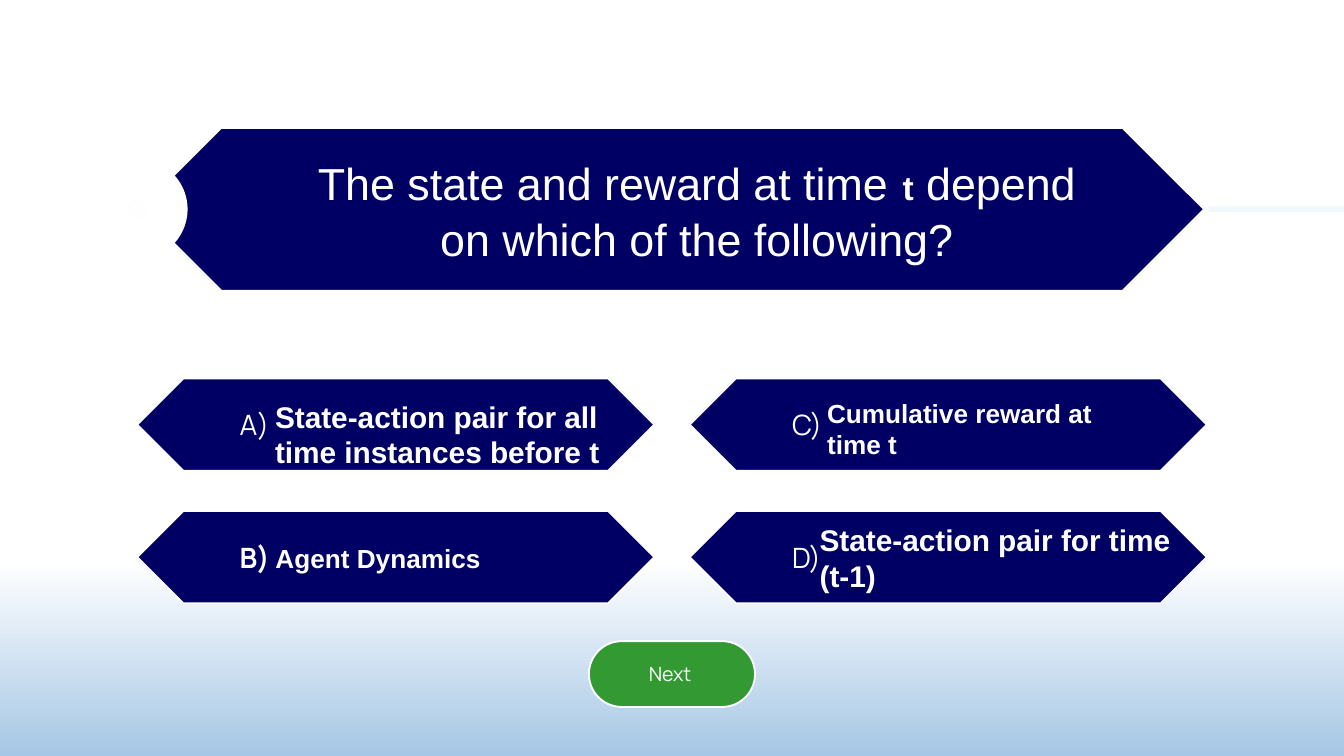
"""Build a quiz slide with one question, four answers and a Next button."""
import pptx
import pptx.dml.color
import pptx.enum.shapes
import pptx.enum.text
import pptx.oxml
import pptx.oxml.ns
import pptx.util

Pt = pptx.util.Pt
Shapes = pptx.enum.shapes.MSO_SHAPE
Align = pptx.enum.text.PP_ALIGN

WHITE, NAVY, GREEN, PALE = "FFFFFF", "000064", "339933", "F3F8FC"
SLIDE_WIDTH, SLIDE_HEIGHT = 720, 405

BACKGROUND_STOPS = [(0, WHITE, 100), (74, WHITE, 100), (100, "A6C7E5", 100)]
DOT_STOPS = [(0, WHITE, 100), (32, WHITE, 100), (63, WHITE, 0), (100, WHITE, 0)]
LINEAR = '<a:lin ang="5400000" scaled="0"/>'
CIRCULAR = '<a:path path="circle"><a:fillToRect l="50000" t="50000" r="50000" b="50000"/></a:path>'

LABEL = {"size": 15, "name": "Manrope"}
BUTTON = {"size": 10.5, "name": "Manrope"}
QUESTION = {"size": 24, "name": "Arial"}
ANSWER = {"size": 16, "name": "Arial", "bold": True}
SMALL_ANSWER = {**ANSWER, "size": 14}

QUESTION_RUNS = [
    ("The state and reward at time", QUESTION),
    (" ", {**ANSWER, "size": 28}),
    ("t", {**ANSWER, "size": 18}),
    (" depend on which of the following?", QUESTION),
]
ANSWER_LABELS = [
    (1, 1, [("D)", LABEL)]),
    (1, 0, [("C)", LABEL)]),
    (0, 1, [("B) ", {**LABEL, "bold": True}), ("Agent Dynamics", SMALL_ANSWER)]),
    (0, 0, [("A)", LABEL)]),
]
TEXTS = [
    ((156.25, 75.6, 434, 70.5), QUESTION_RUNS, Align.CENTER),
    ((140.25, 209.5, 192.5, 46), [("State-action pair for all time instances before t", ANSWER)], Align.LEFT),
    ((432, 285.25, 214.5, 26.5), [("State-action pair for time (t-1)", ANSWER)], Align.LEFT),
    ((436, 217.5, 181.5, 24.5), [("Cumulative reward at time t", SMALL_ANSWER)], Align.LEFT),
]

BANNER = (73.5, 67.5, 573, 89.25)
ANSWER_SIZE = (277, 49.5)
ANSWER_TOP, ROW_STEP = 202.75, 71
BUTTON_SIZE = (89, 35.25)
BUTTON_TOP = 343.5
CIRCLE, DOT = 54, 10
CIRCLE_CENTER = (73.5, 112.1)


def color(value):
    return pptx.dml.color.RGBColor.from_string(value)


def set_gradient(fill, owner, stops, direction):
    fill.gradient()
    gradient = next(owner.iter(pptx.oxml.ns.qn("a:gradFill")))
    for child in list(gradient):
        gradient.remove(child)
    stop_xml = "".join(
        f'<a:gs pos="{position * 1000}"><a:srgbClr val="{value}">'
        f'<a:alpha val="{opacity * 1000}"/></a:srgbClr></a:gs>'
        for position, value, opacity in stops
    )
    namespace = pptx.oxml.ns.nsdecls("a")
    source = f"<a:root {namespace}><a:gsLst>{stop_xml}</a:gsLst>{direction}</a:root>"
    for child in list(pptx.oxml.parse_xml(source)):
        gradient.append(child)


def add_line(slide, left, right, middle, value, width):
    line = slide.shapes.add_connector(
        pptx.enum.shapes.MSO_CONNECTOR.STRAIGHT, Pt(left), Pt(middle), Pt(right), Pt(middle)
    )
    line.line.color.rgb = color(value)
    line.line.width = Pt(width)
    properties = line._element.spPr
    properties.append(properties.makeelement(pptx.oxml.ns.qn("a:effectLst"), {}))


def add_shape(slide, kind, box, value, line_width=0, adjustments=()):
    shape = slide.shapes.add_shape(kind, *map(Pt, box))
    shape.shadow.inherit = False
    shape.fill.solid()
    shape.fill.fore_color.rgb = color(value)
    if line_width:
        shape.line.color.rgb = color(WHITE)
        shape.line.width = Pt(line_width)
    else:
        shape.line.fill.background()
    for index, adjustment in enumerate(adjustments):
        shape.adjustments[index] = adjustment
    return shape


def write(shape, runs, alignment, left_margin=7.2):
    frame = shape.text_frame
    settings = {
        "word_wrap": True,
        "vertical_anchor": pptx.enum.text.MSO_ANCHOR.MIDDLE,
        "margin_left": Pt(left_margin),
        "margin_right": Pt(7.2),
        "margin_top": Pt(3.6),
        "margin_bottom": Pt(3.6),
    }
    for name, value in settings.items():
        setattr(frame, name, value)
    paragraph = frame.paragraphs[0]
    paragraph.alignment = alignment
    for text, style in runs:
        run = paragraph.add_run()
        run.text = text
        for name, value in {**style, "size": Pt(style["size"])}.items():
            setattr(run.font, name, value)
        run.font.color.rgb = color(WHITE)


def add_circle(slide, diameter):
    left, top = (center - diameter / 2 for center in CIRCLE_CENTER)
    return add_shape(slide, Shapes.OVAL, (left, top, diameter, diameter), WHITE)


def main():
    presentation = pptx.Presentation()
    presentation.slide_width, presentation.slide_height = Pt(SLIDE_WIDTH), Pt(SLIDE_HEIGHT)
    slide = presentation.slides.add_slide(presentation.slide_layouts[6])
    set_gradient(slide.background.fill, slide._element, BACKGROUND_STOPS, LINEAR)

    left, top, width, height = BANNER
    right = left + width
    answer_width, answer_height = ANSWER_SIZE
    for row in (1, 0):
        middle = ANSWER_TOP + row * ROW_STEP + answer_height / 2
        add_line(slide, 0, SLIDE_WIDTH, middle, WHITE, 1)
    for column, row, runs in ANSWER_LABELS:
        box = (left + column * (width - answer_width), ANSWER_TOP + row * ROW_STEP, *ANSWER_SIZE)
        shape = add_shape(slide, Shapes.SNIP_2_DIAG_RECTANGLE, box, NAVY, 1, (0.5, 0.5))
        write(shape, runs, Align.LEFT, 42.5)

    add_line(slide, 0, left, top + height / 2, WHITE, 3)
    add_line(slide, right, SLIDE_WIDTH, top + height / 2, PALE, 3)
    add_shape(slide, Shapes.SNIP_2_DIAG_RECTANGLE, BANNER, NAVY, 3, (0.5, 0.5))

    button_box = ((SLIDE_WIDTH - BUTTON_SIZE[0]) / 2, BUTTON_TOP, *BUTTON_SIZE)
    button = add_shape(slide, Shapes.ROUNDED_RECTANGLE, button_box, GREEN, 1, (0.5,))
    write(button, [("Next", BUTTON)], Align.CENTER, 5)

    add_circle(slide, CIRCLE)
    dot = add_circle(slide, DOT)
    set_gradient(dot.fill, dot._element, DOT_STOPS, CIRCULAR)

    for box, runs, alignment in TEXTS:
        text_box = slide.shapes.add_textbox(*map(Pt, box))
        write(text_box, runs, alignment)
        text_box.text_frame.auto_size = pptx.enum.text.MSO_AUTO_SIZE.SHAPE_TO_FIT_TEXT

    presentation.save("out.pptx")


if __name__ == "__main__":
    main()
